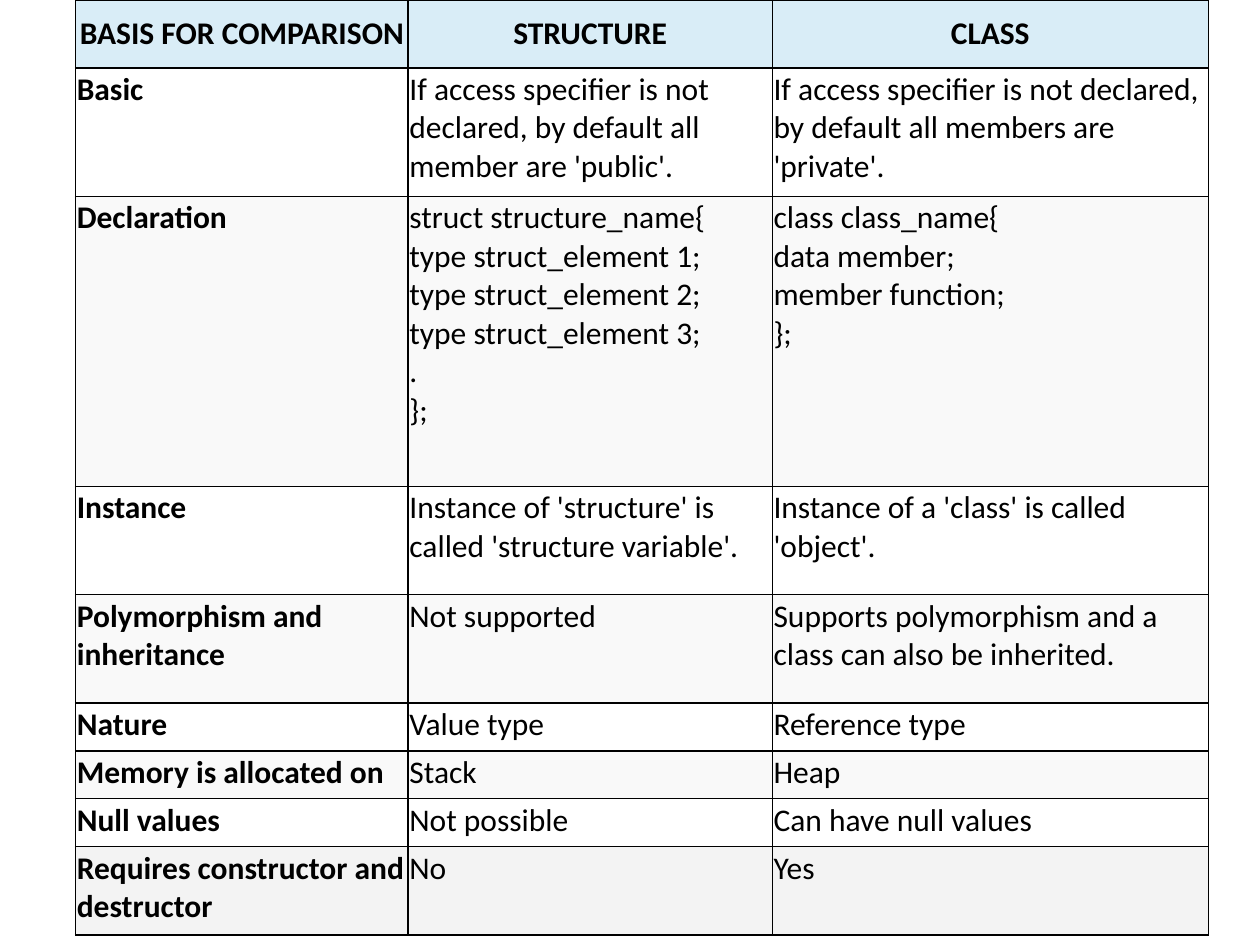
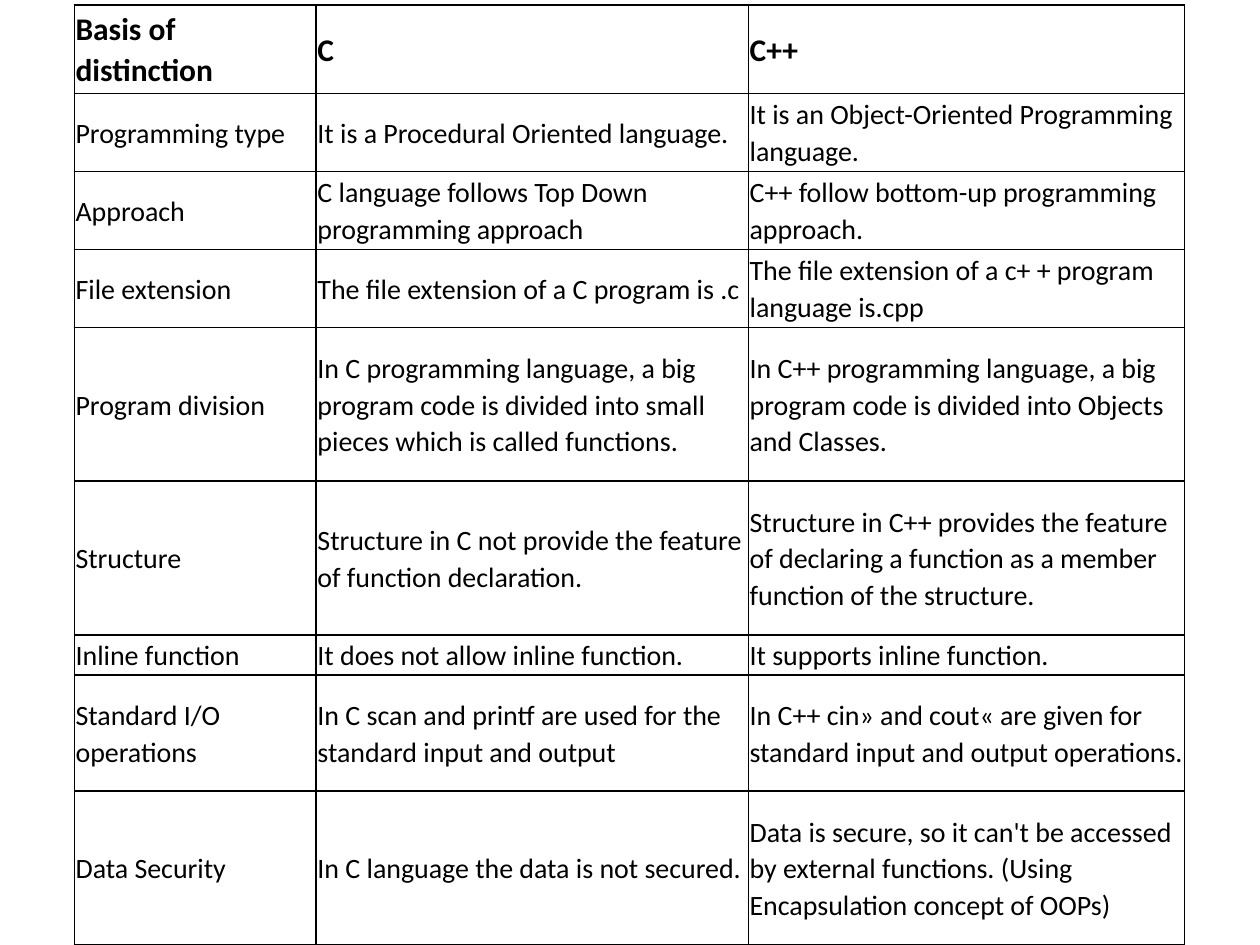
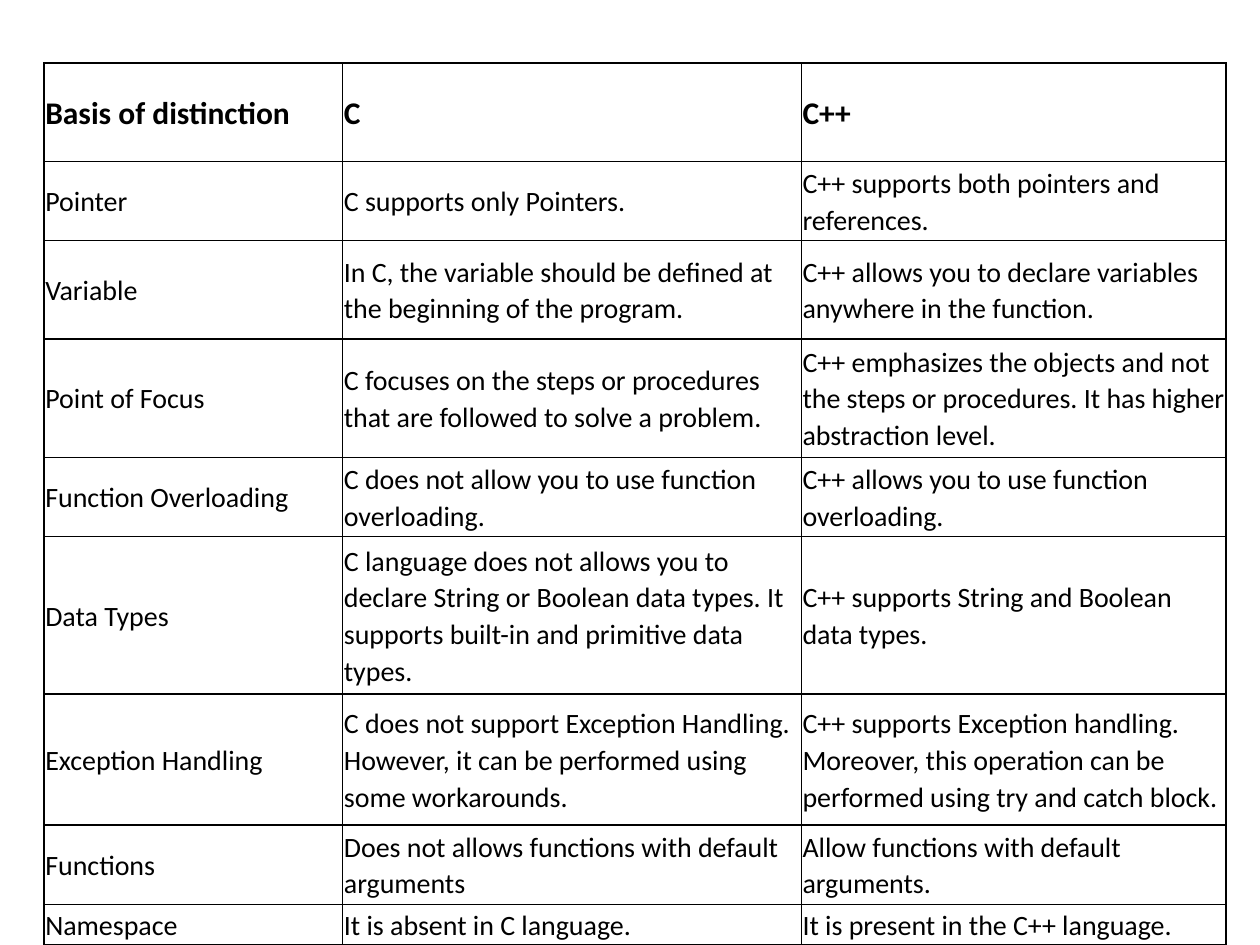
"""Build three slides of comparison tables: structure and class, then C and C++."""
from lxml import etree
from pptx import Presentation
from pptx.dml.color import RGBColor
from pptx.enum.text import MSO_ANCHOR, PP_ALIGN
from pptx.oxml.ns import qn
from pptx.util import Inches, Pt

TOP, MIDDLE = MSO_ANCHOR.TOP, MSO_ANCHOR.MIDDLE
LEFT, CENTER = PP_ALIGN.LEFT, PP_ALIGN.CENTER
FONT = "Calibri"
BLACK, WHITE = "000000", "FFFFFF"
HEADER_BLUE, BAND_GREY, LAST_GREY = "D9EDF7", "F9F9F9", "F3F3F3"
BORDER_SIDES = ("a:lnL", "a:lnR", "a:lnT", "a:lnB")
BORDER_WIDTH = Pt(1)
HEADER_SIZE = 18
LANGUAGE_SIZE = 16
LANGUAGE_SPACING = 1.07
STRUCT_INSETS = (0.01, 0.02, 0.01, 0.02)
LANGUAGE_INSETS = (0.01, 0.01, 0, 0.01)

STRUCT_COLS = (2.64, 2.89, 3.46)
STRUCT_ROWS = [
    (0.54, "BASIS FOR COMPARISON", "STRUCTURE", "CLASS"),
    (1.02, "Basic",
     "If access specifier is not declared, by default all member are 'public'.",
     "If access specifier is not declared, by default all members are 'private'."),
    (2.3, "Declaration",
     "struct structure_name{\ntype struct_element 1;\ntype struct_element 2;\n"
     "type struct_element 3;\n.\n};",
     "class class_name{\ndata member;\nmember function;\n};"),
    (0.86, "Instance",
     "Instance of 'structure' is called 'structure variable'.",
     "Instance of a 'class' is called 'object'."),
    (0.86, "Polymorphism and inheritance", "Not supported",
     "Supports polymorphism and a class can also be inherited."),
    (0.38, "Nature", "Value type", "Reference type"),
    (0.38, "Memory is allocated on", "Stack", "Heap"),
    (0.38, "Null values", "Not possible", "Can have null values"),
    (0.7, "Requires constructor and destructor", "No", "Yes"),
]

LANGUAGE_HEADER = ("Basis of distinction", "C", "C++")
BASICS_COLS = (1.92, 3.43, 3.46)
BASICS_ROWS = [
    (0.7, *LANGUAGE_HEADER),
    (0.62, "Programming type", "It is a Procedural Oriented language.",
     "It is an Object-Oriented Programming language."),
    (0.62, "Approach", "C language follows Top Down programming approach",
     "C++ follow bottom-up programming approach."),
    (0.62, "File extension", "The file extension of a C program is .c",
     "The file extension of a c+ + program language is.cpp"),
    (1.22, "Program division",
     "In C programming language, a big program code is divided into small pieces "
     "which is called functions.",
     "In C++ programming language, a big program code is divided into Objects and Classes."),
    (1.22, "Structure",
     "Structure in C not provide the feature of function declaration.",
     "Structure in C++ provides the feature of declaring a function as a member "
     "function of the structure."),
    (0.32, "Inline function", "It does not allow inline function.",
     "It supports inline function."),
    (0.92, "Standard I/O operations",
     "In C scan and printf are used for the standard input and output",
     "In C++ cin» and cout« are given for standard input and output operations."),
    (1.22, "Data Security", "In C language the data is not secured.",
     "Data is secure, so it can't be accessed by external functions. "
     "(Using Encapsulation concept of OOPs)"),
]

FEATURES_COLS = (2.37, 3.64, 3.37)
FEATURES_ROWS = [
    (0.78, *LANGUAGE_HEADER),
    (0.63, "Pointer", "C supports only Pointers.",
     "C++ supports both pointers and references."),
    (0.78, "Variable",
     "In C, the variable should be defined at the beginning of the program.",
     "C++ allows you to declare variables anywhere in the function."),
    (0.94, "Point of Focus",
     "C focuses on the steps or procedures that are followed to solve a problem.",
     "C++ emphasizes the objects and not the steps or procedures. "
     "It has higher abstraction level."),
    (0.63, "Function Overloading",
     "C does not allow you to use function overloading.",
     "C++ allows you to use function overloading."),
    (1.25, "Data Types",
     "C language does not allows you to declare String or Boolean data types. "
     "It supports built-in and primitive data types.",
     "C++ supports String and Boolean data types."),
    (1.04, "Exception Handling",
     "C does not support Exception Handling. However, it can be performed using "
     "some workarounds.",
     "C++ supports Exception handling. Moreover, this operation can be performed "
     "using try and catch block."),
    (0.63, "Functions", "Does not allows functions with default arguments",
     "Allow functions with default arguments."),
    (0.32, "Namespace", "It is absent in C language.",
     "It is present in the C++ language."),
]


def rgb(color):
    """Return the colour for a hex string."""
    return RGBColor.from_string(color)


def add_borders(cell):
    """Draw a thin black line on each side of a cell."""
    tc_pr = cell._tc.get_or_add_tcPr()
    for side in BORDER_SIDES:
        ln = etree.SubElement(tc_pr, qn(side), w=str(BORDER_WIDTH))
        fill = etree.SubElement(ln, qn("a:solidFill"))
        etree.SubElement(fill, qn("a:srgbClr"), val=BLACK)


def format_cell(cell, text, fill, insets, anchor, size, bold, align=LEFT, spacing=None):
    """Fill a cell with text and set its look."""
    add_borders(cell)
    cell.fill.solid()
    cell.fill.fore_color.rgb = rgb(fill)
    cell.margin_left, cell.margin_top, cell.margin_right, cell.margin_bottom = map(Inches, insets)
    cell.vertical_anchor = anchor
    p = cell.text_frame.paragraphs[0]
    p.text = text
    p.alignment = align
    p.line_spacing = spacing
    for r in p.runs:
        r.font.name = FONT
        r.font.size = Pt(size)
        r.font.bold = bold
        r.font.color.rgb = rgb(BLACK)


def struct_style(row, col):
    """Return the cell format for the structure and class table."""
    header = row == 0
    if header:
        fill = HEADER_BLUE
    elif row == len(STRUCT_ROWS) - 1:
        fill = LAST_GREY
    else:
        fill = WHITE if row % 2 else BAND_GREY
    return dict(fill=fill, insets=STRUCT_INSETS, size=HEADER_SIZE,
                bold=header or col == 0, anchor=MIDDLE if header else TOP,
                align=CENTER if header else LEFT)


def language_style(row, col):
    """Return the cell format for the C and C++ tables."""
    header = row == 0
    return dict(fill=WHITE, insets=LANGUAGE_INSETS, anchor=MIDDLE, bold=header,
                size=HEADER_SIZE if header else LANGUAGE_SIZE, spacing=LANGUAGE_SPACING)


def add_table_slide(prs, left, top, widths, rows, style):
    """Add a slide that holds one comparison table."""
    slide = prs.slides.add_slide(prs.slide_layouts[6])
    height = sum(row[0] for row in rows)
    frame = slide.shapes.add_table(len(rows), len(widths), Inches(left), Inches(top),
                                   Inches(sum(widths)), Inches(height))
    table = frame.table
    table.first_row = table.horz_banding = False
    for column, width in zip(table.columns, widths):
        column.width = Inches(width)
    for i, (row_height, *texts) in enumerate(rows):
        table.rows[i].height = Inches(row_height)
        for j, text in enumerate(texts):
            format_cell(table.cell(i, j), text, **style(i, j))


def main():
    """Build and save the presentation."""
    prs = Presentation()
    prs.slide_width, prs.slide_height = Inches(10), Inches(7.5)
    add_table_slide(prs, 0.6, 0, STRUCT_COLS, STRUCT_ROWS, struct_style)
    add_table_slide(prs, 0.59, 0.04, BASICS_COLS, BASICS_ROWS, language_style)
    add_table_slide(prs, 0.35, 0.5, FEATURES_COLS, FEATURES_ROWS, language_style)
    prs.save("out.pptx")


if __name__ == "__main__":
    main()
